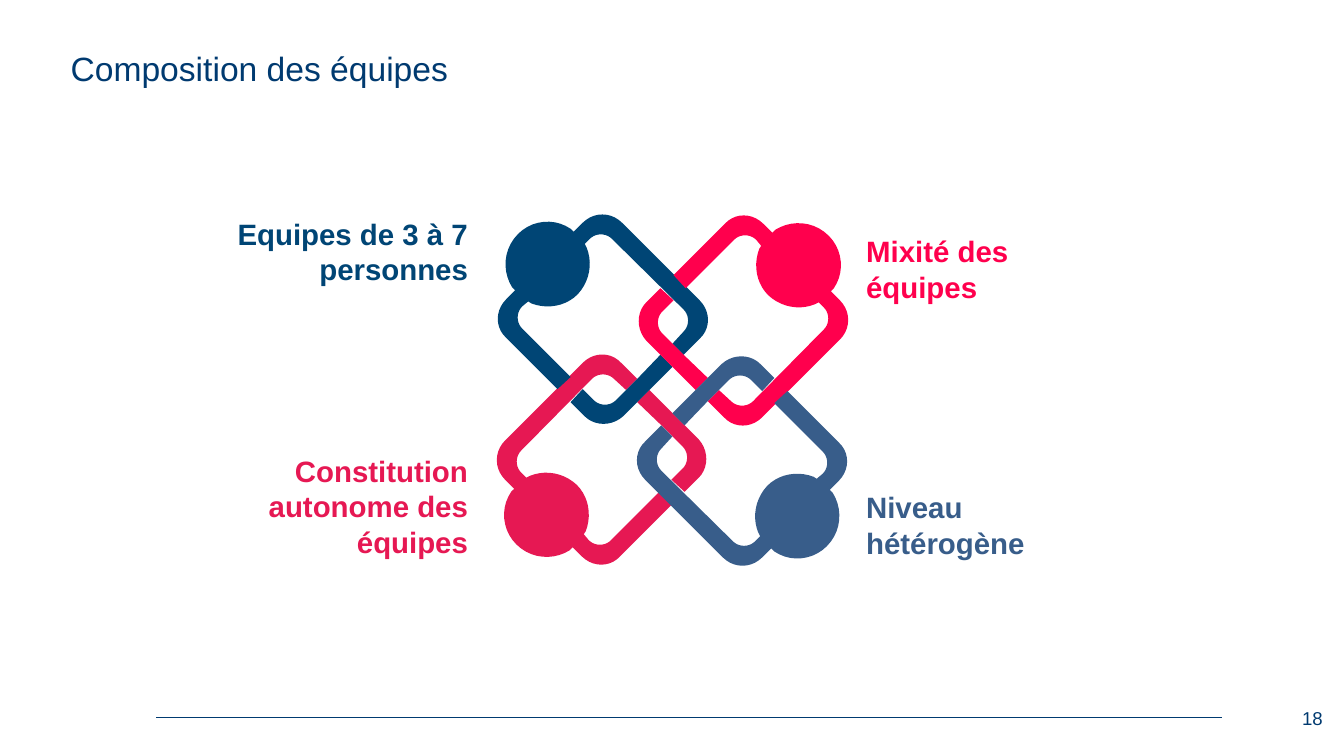
from lxml import etree
from pptx import Presentation
from pptx.dml.color import RGBColor
from pptx.enum.shapes import MSO_CONNECTOR
from pptx.enum.text import MSO_ANCHOR, MSO_AUTO_SIZE, PP_ALIGN
from pptx.oxml.ns import qn
from pptx.util import Inches, Pt

STRAIGHT = MSO_CONNECTOR.STRAIGHT
MIDDLE = MSO_ANCHOR.MIDDLE
FIT_SHAPE = MSO_AUTO_SIZE.SHAPE_TO_FIT_TEXT
LEFT, RIGHT = PP_ALIGN.LEFT, PP_ALIGN.RIGHT

FONT = "Arial"
NAVY, BLUE, PINK, SLATE, CRIMSON = "003A70", "004575", "FF004D", "385D8A", "E61853"
CURVE_STEPS = 10

# Upper-left figure, in inches from the centre of the motif. Each contour is a
# start point and its segments: one point is a line, three points are a Bézier curve.
FRONT_CORNER = [
    (-1.01, 0.12),
    [(-0.89, -0.01)], [(-0.78, 0.1)],
    [(-0.72, 0.16), (-0.62, 0.16), (-0.56, 0.1)],
    [(-0.35, -0.11)], [(-0.12, -0.35)], [(0, -0.23)], [(-0.49, 0.26)],
    [(-0.6, 0.36), (-0.77, 0.36), (-0.87, 0.26)],
]
HEAD_AND_ARMS = [
    (-1.53, -1.55),
    [(-1.39, -1.69), (-1.17, -1.71), (-1.01, -1.6)],
    [(-0.98, -1.57)], [(-0.89, -1.66)],
    [(-0.78, -1.77), (-0.61, -1.77), (-0.5, -1.66)],
    [(0.27, -0.89)],
    [(0.38, -0.78), (0.38, -0.61), (0.27, -0.51)],
    [(0.11, -0.35)], [(0, -0.46)], [(0.11, -0.58)],
    [(0.17, -0.64), (0.17, -0.74), (0.11, -0.8)],
    [(-0.6, -1.5)],
    [(-0.66, -1.56), (-0.76, -1.56), (-0.82, -1.5)],
    [(-0.87, -1.45)], [(-0.85, -1.41)],
    [(-0.79, -1.26), (-0.82, -1.08), (-0.94, -0.95)],
    [(-1.06, -0.83), (-1.24, -0.8), (-1.4, -0.86)],
    [(-1.43, -0.88)], [(-1.49, -0.83)],
    [(-1.55, -0.77), (-1.55, -0.67), (-1.49, -0.61)],
    [(-1.01, -0.13)], [(-1.14, -0.01)], [(-1.65, -0.52)],
    [(-1.76, -0.62), (-1.76, -0.79), (-1.65, -0.9)],
    [(-1.56, -0.99)], [(-1.59, -1.02)],
    [(-1.69, -1.18), (-1.68, -1.4), (-1.53, -1.55)],
]


def color(hex_value):
    return RGBColor.from_string(hex_value)


def add_text(slide, box, text, size, hex_color, margins, align=LEFT, bold=False):
    """Add a text box; box and margins are left, top, width/right, height/bottom."""
    shape = slide.shapes.add_textbox(*map(Inches, box))
    frame = shape.text_frame
    frame.word_wrap = True
    frame.vertical_anchor = MIDDLE
    (frame.margin_left, frame.margin_top,
     frame.margin_right, frame.margin_bottom) = map(Inches, margins)
    frame.text = text
    paragraph = frame.paragraphs[0]
    paragraph.alignment = align
    font = paragraph.runs[0].font
    font.name, font.size, font.bold = FONT, Pt(size), bold
    font.color.rgb = color(hex_color)
    return shape


def flatten(contour):
    """Turn a contour of lines and curves into a list of points."""
    points = [contour[0]]
    for segment in contour[1:]:
        if len(segment) == 1:
            points.append(segment[0])
            continue
        start = points[-1]
        for step in range(1, CURVE_STEPS + 1):
            t = step / CURVE_STEPS
            weights = ((1 - t) ** 3, 3 * t * (1 - t) ** 2, 3 * t * t * (1 - t), t ** 3)
            controls = (start, *segment)
            points.append(tuple(
                sum(weight * control[axis] for weight, control in zip(weights, controls))
                for axis in (0, 1)))
    return points


def add_figure(slide, center, quarter_turns, hex_color):
    """Draw one figure, turned clockwise around the motif's centre."""
    contours = []
    for contour in (FRONT_CORNER, HEAD_AND_ARMS):
        points = flatten(contour)
        for _ in range(quarter_turns):
            points = [(-y, x) for x, y in points]
        contours.append([(Inches(center[0] + x), Inches(center[1] + y)) for x, y in points])

    first, second = contours
    builder = slide.shapes.build_freeform(*first[0])
    builder.add_line_segments(first[1:], close=True)
    builder.move_to(*second[0])
    builder.add_line_segments(second[1:], close=True)
    figure = builder.convert_to_shape()
    figure.shadow.inherit = False
    figure.fill.solid()
    figure.fill.fore_color.rgb = color(hex_color)
    figure.line.fill.background()


def add_team_motif(slide, center):
    for quarter_turns, hex_color in ((3, CRIMSON), (0, BLUE), (1, PINK), (2, SLATE)):
        add_figure(slide, center, quarter_turns, hex_color)


def add_labels(slide, left, right, width):
    """Place the labels in a left and a right column beside the motif."""
    labels = (
        ("Mixité des équipes", right, 2.26, 0.81, PINK, LEFT),
        ("Niveau hétérogène", right, 4.8, 0.81, SLATE, LEFT),
        ("Equipes de 3 à 7 personnes", left, 2.09, 0.81, BLUE, RIGHT),
        ("Constitution autonome des équipes", left, 4.44, 1.16, CRIMSON, RIGHT),
    )
    for text, x, top, height, hex_color, align in labels:
        label = add_text(slide, (x, top, width, height), text, 21, hex_color,
                         (0, 0.05, 0.1, 0.05), align, bold=True)
        label.text_frame.auto_size = FIT_SHAPE


def add_footer(slide, left, right, y):
    rule = slide.shapes.add_connector(
        STRAIGHT, Inches(left), Inches(y), Inches(right), Inches(y))
    rule.line.color.rgb = color(NAVY)
    rule.line.width = Pt(0.75)
    etree.SubElement(rule._element.spPr, qn("a:effectLst"))
    add_text(slide, (right + 0.6, y - 0.2, 0.53, 0.4), "18", 13.3, NAVY,
             (0.13, 0.07, 0.13, 0.07), RIGHT)


def main():
    presentation = Presentation()
    presentation.slide_width = Inches(13.33)
    presentation.slide_height = Inches(7.5)
    slide = presentation.slides.add_slide(presentation.slide_layouts[6])
    add_footer(slide, 1.55, 12.12, 7.12)
    add_text(slide, (0.7, 0.1, 11.31, 0.95), "Composition des équipes", 24, NAVY,
             (0, 0.2, 0, 0))
    add_team_motif(slide, (6.67, 3.87))
    add_labels(slide, 2.33, 8.59, 2.41)
    presentation.save("out.pptx")


if __name__ == "__main__":
    main()
